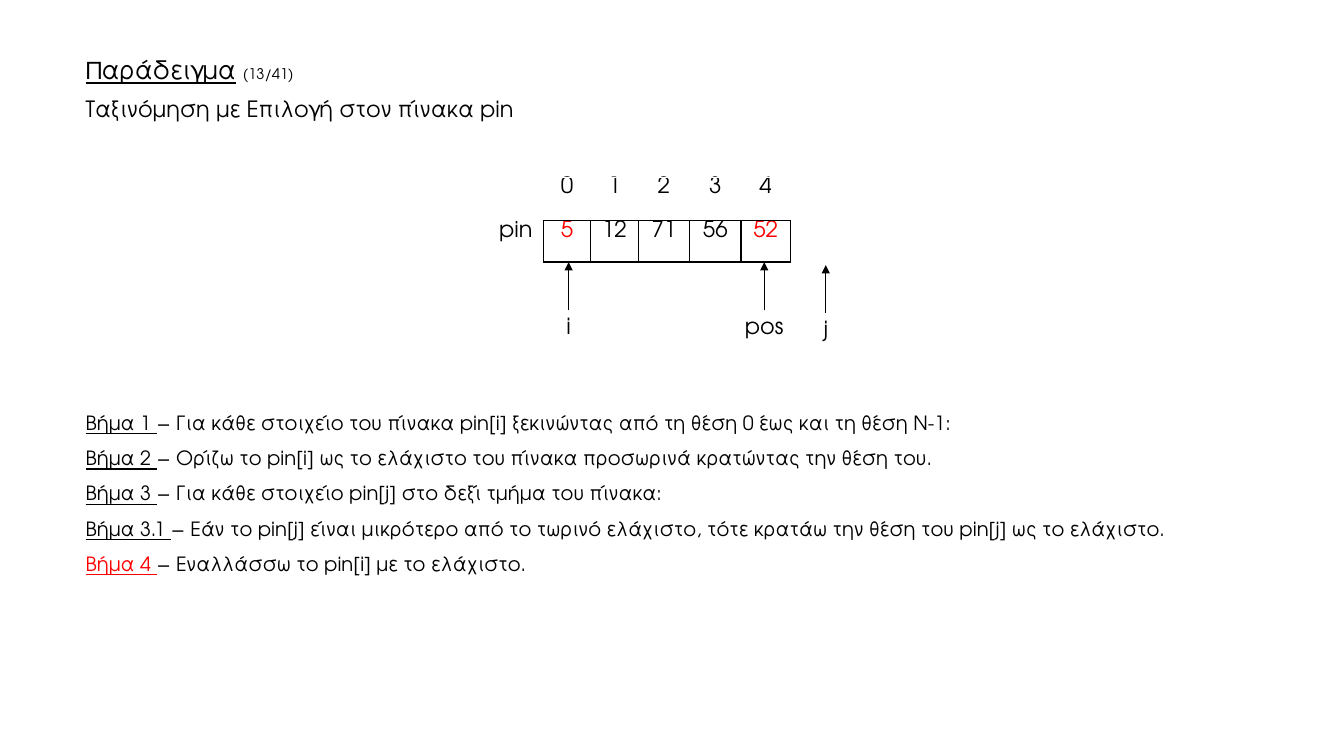
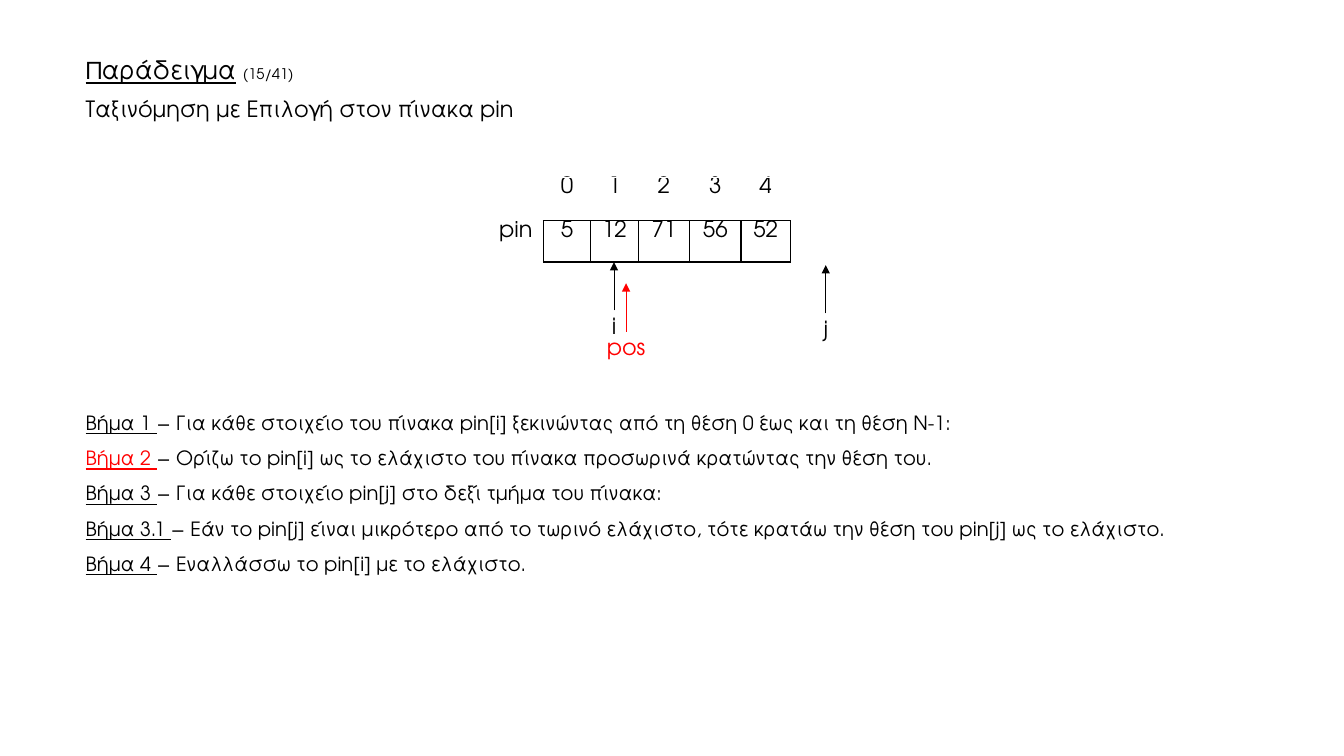
from dataclasses import dataclass

from lxml.etree import SubElement
from pptx import Presentation
from pptx.dml.color import RGBColor
from pptx.enum.shapes import MSO_CONNECTOR
from pptx.enum.text import MSO_ANCHOR, PP_ALIGN
from pptx.oxml.ns import qn
from pptx.util import Inches, Pt


@dataclass(frozen=True)
class Theme:
    font: str = "TeX Gyre Adventor"
    ink: str = "000000"
    accent: str = "FF0000"
    title_size: float = 18
    counter_size: float = 10.5
    body_size: float = 16
    step_size: float = 14
    arrow_width: float = 0.5
    border_width: float = 1


COLUMN_WIDTHS = [0.55, 0.47, 0.47, 0.51, 0.51, 0.49]
ROW_HEIGHTS = [0.43, 0.41]
VALUES = ["5", "12", "71", "56", "52"]
LABEL_HEIGHT = 0.36
ARROW_LENGTH = 0.48
NARROW, WIDE = 0.24, 0.98

STEPS = [
    ("1", "Για κάθε στοιχείο του πίνακα pin[i] ξεκινώντας από τη θέση 0 έως και τη θέση Ν-1:"),
    ("2", "Ορίζω το pin[i] ως το ελάχιστο του πίνακα προσωρινά κρατώντας την θέση του."),
    ("3", "Για κάθε στοιχείο pin[j] στο δεξί τμήμα του πίνακα:"),
    ("3.1", "Εάν το pin[j] είναι μικρότερο από το τωρινό ελάχιστο, "
            "τότε κρατάω την θέση του pin[j] ως το ελάχιστο."),
    ("4", "Εναλλάσσω το pin[i] με το ελάχιστο."),
]


class SortingDeck:
    def __init__(self, theme):
        self.theme = theme
        self.presentation = Presentation()
        self.presentation.slide_width = Inches(13.33)
        self.presentation.slide_height = Inches(7.5)
        self.slide = None

    def new_slide(self):
        self.slide = self.presentation.slides.add_slide(self.presentation.slide_layouts[6])

    def color(self, highlighted):
        return RGBColor.from_string(self.theme.accent if highlighted else self.theme.ink)

    def run(self, paragraph, text, size, highlighted=False, underline=False):
        run = paragraph.add_run()
        run.text = text
        run.font.name = self.theme.font
        run.font.size = Pt(size)
        run.font.color.rgb = self.color(highlighted)
        run.font.underline = underline

    def text_box(self, left, top, width, height):
        frame = self.slide.shapes.add_textbox(
            Inches(left), Inches(top), Inches(width), Inches(height)).text_frame
        frame.word_wrap = True
        return frame

    def heading(self, counter):
        theme = self.theme
        frame = self.text_box(0.75, 0.52, 10.79, 0.77)
        title = frame.paragraphs[0]
        title.line_spacing = 0.9
        self.run(title, "Παράδειγμα", theme.title_size, underline=True)
        self.run(title, " ", theme.title_size)
        self.run(title, counter, theme.counter_size)
        subtitle = frame.add_paragraph()
        subtitle.line_spacing = 0.9
        subtitle.space_before = Pt(10)
        self.run(subtitle, "Ταξινόμηση με Επιλογή στον πίνακα pin", theme.body_size)

    def steps(self, current):
        frame = self.text_box(0.75, 3.91, 11.53, 1.82)
        for index, (number, text) in enumerate(STEPS):
            paragraph = frame.add_paragraph() if index else frame.paragraphs[0]
            paragraph.line_spacing = 1.5
            self.run(paragraph, f"Βήμα {number} ", self.theme.step_size,
                     highlighted=number == current, underline=True)
            self.run(paragraph, f"− {text}", self.theme.step_size)

    def border(self, cell, sides):
        properties = cell._tc.get_or_add_tcPr()
        for side in sides:
            line = SubElement(properties, qn(f"a:ln{side}"), w=str(Pt(self.theme.border_width)))
            fill = SubElement(line, qn("a:solidFill"))
            SubElement(fill, qn("a:srgbClr"), val=self.theme.ink)

    def array(self, highlighted):
        rows = [["", *map(str, range(len(VALUES)))], ["pin", *VALUES]]
        table = self.slide.shapes.add_table(
            len(rows), len(COLUMN_WIDTHS), Inches(4.84), Inches(1.76),
            Inches(sum(COLUMN_WIDTHS)), Inches(sum(ROW_HEIGHTS))).table
        table.first_row = table.horz_banding = False
        for column, width in zip(table.columns, COLUMN_WIDTHS):
            column.width = Inches(width)
        for row_index, texts in enumerate(rows):
            table.rows[row_index].height = Inches(ROW_HEIGHTS[row_index])
            for column_index, text in enumerate(texts):
                cell = table.cell(row_index, column_index)
                cell.margin_left = cell.margin_right = 0
                cell.margin_top = cell.margin_bottom = 0
                cell.vertical_anchor = MSO_ANCHOR.TOP
                # Only the values are boxed; their neighbours share the edges
                if column_index:
                    self.border(cell, "LRTB" if row_index else "B")
                elif row_index:
                    self.border(cell, "R")
                cell.fill.background()
                paragraph = cell.text_frame.paragraphs[0]
                paragraph.alignment = PP_ALIGN.CENTER
                if text:
                    self.run(paragraph, text, self.theme.body_size,
                             highlighted=row_index == 1 and column_index - 1 in highlighted)

    def pointer(self, label, center, top, width=NARROW, highlighted=False):
        # Label below the arrow
        frame = self.text_box(center - width / 2, top, width, LABEL_HEIGHT)
        paragraph = frame.paragraphs[0]
        paragraph.alignment = PP_ALIGN.CENTER
        paragraph.line_spacing = 0.9
        self.run(paragraph, label, self.theme.body_size, highlighted)
        # Arrow pointing up
        arrow = self.slide.shapes.add_connector(
            MSO_CONNECTOR.STRAIGHT, Inches(center), Inches(top),
            Inches(center), Inches(top - ARROW_LENGTH))
        arrow.line.color.rgb = self.color(highlighted)
        arrow.line.width = Pt(self.theme.arrow_width)
        SubElement(arrow.line._get_or_add_ln(), qn("a:tailEnd"), type="triangle")
        SubElement(arrow._element.spPr, qn("a:effectLst"))

    def example(self, counter, step, highlighted, pointers):
        self.new_slide()
        self.steps(step)
        self.heading(counter)
        self.array(highlighted)
        for pointer in pointers:
            self.pointer(*pointer)


def main():
    deck = SortingDeck(Theme())
    end_pointer = ("j", 8.19, 3.11)

    # Swap the minimum into position 0
    deck.example("(13/41)", "4", {0, 4},
                 [("i", 5.64, 3.08), ("pos", 7.58, 3.08, WIDE), end_pointer])

    # Start the next pass at position 1
    deck.example("(15/41)", "2", set(),
                 [("i", 6.09, 3.08), ("pos", 6.21, 3.29, WIDE, True), end_pointer])

    deck.presentation.save("out.pptx")


if __name__ == "__main__":
    main()
